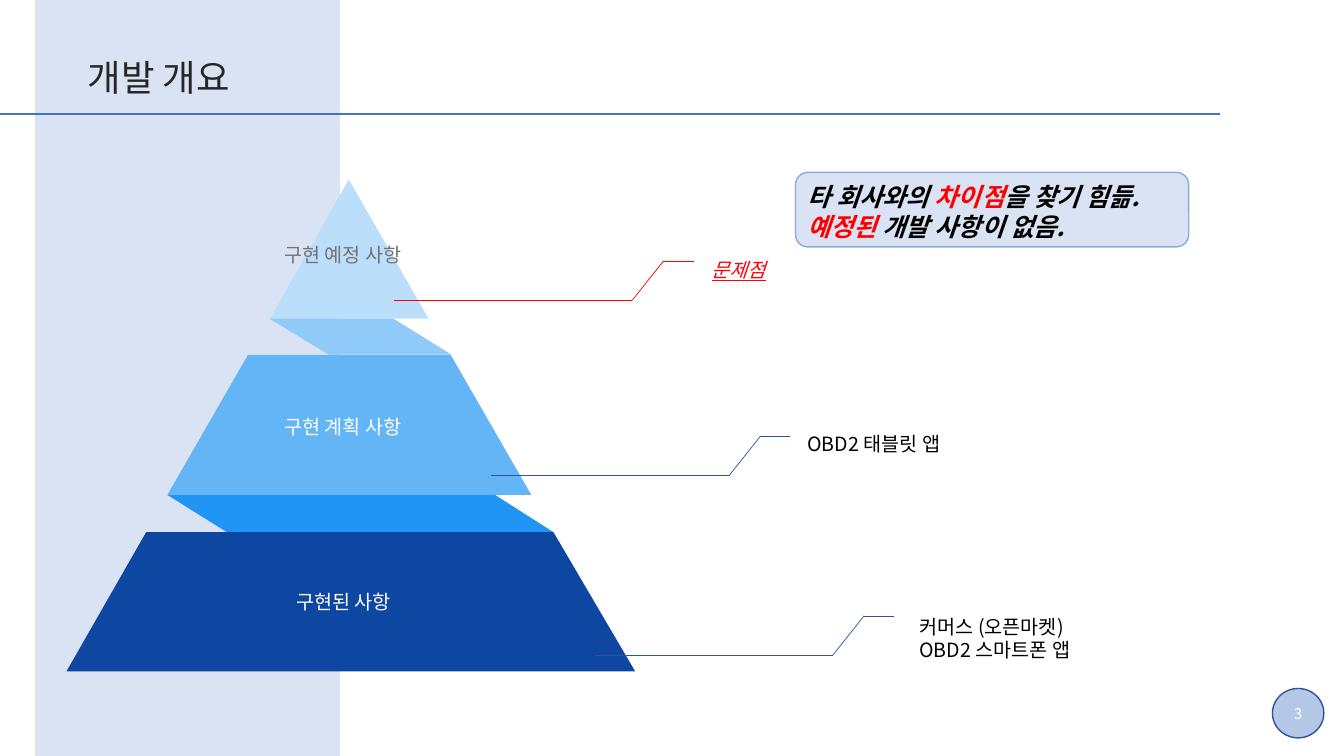
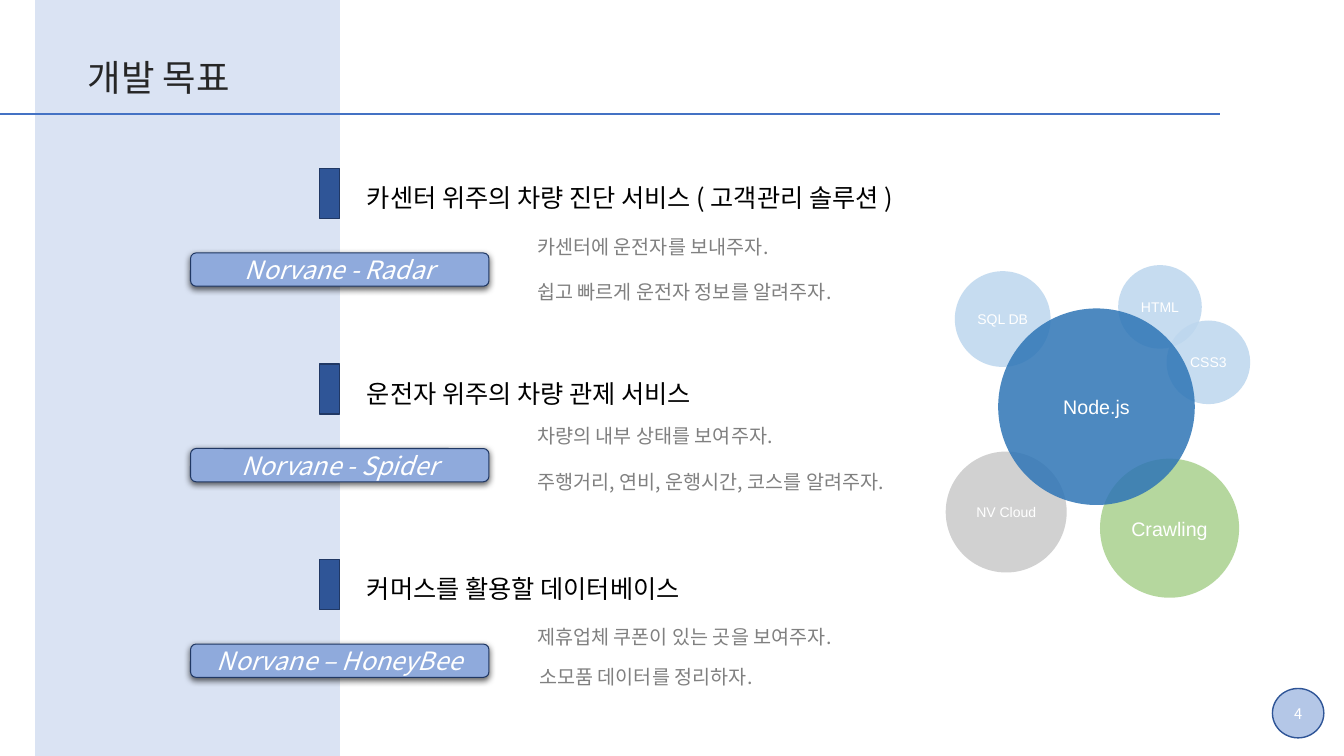
from dataclasses import dataclass
from itertools import pairwise

from lxml.etree import SubElement
from pptx import Presentation
from pptx.dml.color import RGBColor
from pptx.enum.shapes import MSO_CONNECTOR, MSO_SHAPE
from pptx.enum.text import MSO_ANCHOR, MSO_AUTO_SIZE, PP_ALIGN
from pptx.oxml.ns import qn
from pptx.util import Inches, Pt

COLORS = {
    "pale": "DAE3F3", "soft": "B4C7E7", "mid": "8FAADC", "rule": "4472C4",
    "deep": "2F5597", "navy": "203864", "title": "262626", "black": "000000",
    "white": "FFFFFF", "red": "FF0000", "gray": "808080", "stone": "767171",
    "base": "0D47A1", "base_fold": "2195F3", "middle": "64B5F6",
    "top_fold": "90CAF9", "top": "BBDEFB",
    "sky": "BDD7EE", "green": "A9D18E", "silver": "C9C9C9", "core": "2E75B6",
}
KOREAN = "Noto Sans CJK KR"
FORMATS = {
    "title": {"name": KOREAN, "size": Pt(26)},
    "page": {"name": KOREAN, "size": Pt(10.5)},
    "body": {"name": KOREAN, "size": Pt(14)},
    "heading": {"name": KOREAN, "size": Pt(18)},
    "pill": {"name": KOREAN, "size": Pt(18), "italic": True},
    "notice": {"name": KOREAN, "size": Pt(18), "bold": True, "italic": True},
    "issue": {"name": KOREAN, "size": Pt(14), "italic": True, "underline": True},
    "small_tech": {"name": "Arial", "size": Pt(10)},
    "large_tech": {"name": "Arial", "size": Pt(14)},
}


@dataclass(frozen=True)
class Run:
    text: str
    color: str = "black"


@dataclass(frozen=True)
class Panel:
    color: str
    points: tuple[tuple[float, float], ...]


@dataclass(frozen=True)
class Label:
    left: float
    top: float
    width: float
    height: float
    lines: tuple[tuple[Run, ...], ...]
    style: str = "body"


@dataclass(frozen=True)
class Callout:
    left: float
    top: float
    color: str


@dataclass(frozen=True)
class Detail:
    text: str
    top: float
    width: float
    left: float = 5.23


@dataclass(frozen=True)
class Goal:
    heading: str
    width: float
    project: str
    details: tuple[Detail, ...]


@dataclass(frozen=True)
class Bubble:
    text: str
    left: float
    top: float
    diameter: float
    color: str
    style: str = "small_tech"


# Shared drawing functions
def rgb(color: str) -> RGBColor:
    return RGBColor.from_string(COLORS[color])


def write(frame, lines, style: str, align=PP_ALIGN.LEFT) -> None:
    for index, line in enumerate(lines):
        paragraph = frame.add_paragraph() if index else frame.paragraphs[0]
        paragraph.alignment = align
        for part in line:
            run = paragraph.add_run()
            run.text = part.text
            for attribute, value in FORMATS[style].items():
                setattr(run.font, attribute, value)
            run.font.color.rgb = rgb(part.color)
            east_asian = SubElement(run.font._element, qn("a:ea"))
            east_asian.set("typeface", FORMATS[style]["name"])


def add_label(slide, label: Label) -> None:
    box = slide.shapes.add_textbox(Inches(label.left), Inches(label.top),
                                   Inches(label.width), Inches(label.height))
    box.text_frame.word_wrap = False
    box.text_frame.auto_size = MSO_AUTO_SIZE.SHAPE_TO_FIT_TEXT
    write(box.text_frame, label.lines, label.style)


def paint(shape, fill: str, line: str | None = None, weight: float = 1) -> None:
    shape.shadow.inherit = False
    shape.fill.solid()
    shape.fill.fore_color.rgb = rgb(fill)
    if line:
        shape.line.color.rgb = rgb(line)
        shape.line.width = Pt(weight)
    else:
        shape.line.fill.background()


def add_block(slide, kind, left: float, top: float, width: float, height: float,
              fill: str, line: str | None = None, weight: float = 1,
              text: str = "", style: str = "body"):
    shape = slide.shapes.add_shape(kind, Inches(left), Inches(top),
                                   Inches(width), Inches(height))
    paint(shape, fill, line, weight)
    if text:
        frame = shape.text_frame
        frame.margin_left = frame.margin_right = Inches(0)
        frame.margin_top = frame.margin_bottom = Inches(0)
        frame.vertical_anchor = MSO_ANCHOR.MIDDLE
        frame.word_wrap = True
        write(frame, [[Run(text, "white")]], style, PP_ALIGN.CENTER)
    return shape


def add_line(slide, start, end, color: str, weight: float) -> None:
    line = slide.shapes.add_connector(
        MSO_CONNECTOR.STRAIGHT, *(Inches(value) for value in (*start, *end)))
    line.line.color.rgb = rgb(color)
    line.line.width = Pt(weight)
    SubElement(line._element.spPr, qn("a:effectLst"))


def add_base(deck, title: str, page: int):
    slide = deck.slides.add_slide(deck.slide_layouts[6])
    add_block(slide, MSO_SHAPE.RECTANGLE, 0.35, 0, 3.02, 7.5, "pale", "pale")
    add_label(slide, Label(0.77, 0.5, 1.79, 0.54, ((Run(title, "title"),),), "title"))
    add_line(slide, (0, 1.13), (12.1, 1.13), "rule", 1)
    add_block(slide, MSO_SHAPE.OVAL, 12.62, 6.83, 0.51, 0.49, "soft", "deep",
              text=str(page), style="page")
    return slide


# Overview: pyramid, callouts and notice
PANELS = (
    Panel("base_fold", ((5.49, 5.28), (2.25, 5.28), (1.66, 4.91), (4.91, 4.91))),
    Panel("top_fold", ((4.48, 3.52), (3.26, 3.52), (2.67, 3.16), (3.9, 3.16))),
    Panel("base", ((5.49, 5.28), (6.3, 6.66), (0.66, 6.66), (1.45, 5.28))),
    Panel("middle", ((2.46, 3.52), (4.47, 3.52), (5.27, 4.91), (1.66, 4.91))),
    Panel("top", ((2.68, 3.16), (3.46, 1.78), (4.25, 3.16))),
)
CALLOUTS = (Callout(3.91, 2.98, "red"), Callout(4.87, 4.72, "deep"),
            Callout(5.9, 6.5, "deep"))
OVERVIEW_LABELS = (
    Label(2.84, 5.8, 1.25, 0.34, ((Run("구현된 사항", "white"),),)),
    Label(2.72, 4.07, 1.52, 0.34, ((Run("구현 계획 사항", "white"),),)),
    Label(2.72, 2.36, 1.52, 0.34, ((Run("구현 예정 사항", "stone"),),)),
    Label(9.02, 6.05, 2.03, 0.57,
          ((Run("커머스 (오픈마켓)"),), (Run("OBD2 스마트폰 앱"),))),
    Label(7.91, 4.24, 1.64, 0.34, ((Run("OBD2 태블릿 앱"),),)),
    Label(6.96, 2.51, 0.79, 0.34, ((Run("문제점", "red"),),), "issue"),
    Label(7.91, 1.75, 3.9, 0.71,
          ((Run("타 회사와의 "), Run("차이점", "red"), Run("을 찾기 힘듦.")),
           (Run("예정된", "red"), Run(" 개발 사항이 없음."))), "notice"),
)


def add_panel(slide, panel: Panel) -> None:
    start, *rest = [(Inches(x), Inches(y)) for x, y in panel.points]
    builder = slide.shapes.build_freeform(*start)
    builder.add_line_segments(rest, close=True)
    paint(builder.convert_to_shape(), panel.color)


def add_callout(slide, callout: Callout) -> None:
    steps = ((0, 0), (2.36, 0), (2.67, -0.39), (2.97, -0.39))
    points = [(callout.left + x, callout.top + y) for x, y in steps]
    for start, end in pairwise(points):
        add_line(slide, start, end, callout.color, 0.5)


def build_overview(deck) -> None:
    slide = add_base(deck, "개발 개요", 3)
    add_block(slide, MSO_SHAPE.ROUNDED_RECTANGLE, 7.89, 1.71, 3.9, 0.74, "pale", "mid")
    for panel in PANELS:
        add_panel(slide, panel)
    for callout in CALLOUTS:
        add_callout(slide, callout)
    for label in OVERVIEW_LABELS:
        add_label(slide, label)


# Goals: three services and the technology bubbles
GOAL_TOP, GOAL_STEP = 1.67, 1.94
GOALS = (
    Goal("카센터 위주의 차량 진단 서비스 ( 고객관리 솔루션 )", 6.12, "Norvane - Radar",
         (Detail("카센터에 운전자를 보내주자.", 2.28, 2.74),
          Detail("쉽고 빠르게 운전자 정보를 알려주자.", 2.73, 3.46))),
    Goal("운전자 위주의 차량 관제 서비스", 3.84, "Norvane - Spider",
         (Detail("차량의 내부 상태를 보여주자.", 4.16, 2.81),
          Detail("주행거리, 연비, 운행시간, 코스를 알려주자.", 4.61, 4.06))),
    Goal("커머스를 활용할 데이터베이스", 3.66, "Norvane – HoneyBee",
         (Detail("제휴업체 쿠폰이 있는 곳을 보여주자.", 6.15, 3.46),
          Detail("소모품 데이터를 정리하자.", 6.55, 2.59, 5.25))),
)
BUBBLES = (
    Bubble("SQL DB", 9.47, 2.69, 0.95, "sky"),
    Bubble("HTML", 11.09, 2.63, 0.83, "sky"),
    Bubble("CSS3", 11.57, 3.18, 0.83, "sky"),
    Bubble("Crawling", 10.91, 4.55, 1.38, "green", "large_tech"),
    Bubble("NV Cloud", 9.38, 4.48, 1.2, "silver"),
    Bubble("Node.js", 9.9, 3.06, 1.95, "core", "large_tech"),
)


def add_alpha(color_element, percent: int) -> None:
    SubElement(color_element, qn("a:alpha")).set("val", str(percent * 1000))


def add_drop_shadow(shape) -> None:
    effects = shape._element.spPr.find(qn("a:effectLst"))
    shadow = SubElement(effects, qn("a:outerShdw"), blurRad=str(Pt(4.5)),
                        dist=str(Pt(1.5)), dir=str(90 * 60000), rotWithShape="0")
    add_alpha(SubElement(shadow, qn("a:srgbClr"), val=COLORS["black"]), 63)


def add_goal(slide, goal: Goal, top: float) -> None:
    add_block(slide, MSO_SHAPE.RECTANGLE, 3.17, top, 0.2, 0.5, "deep", "navy")
    add_label(slide, Label(3.54, top + 0.09, goal.width, 0.4,
                           ((Run(goal.heading),),), "heading"))
    for detail in goal.details:
        add_label(slide, Label(detail.left, detail.top, detail.width, 0.34,
                               ((Run(detail.text, "gray"),),)))
    project = add_block(slide, MSO_SHAPE.ROUNDED_RECTANGLE, 1.89, top + 0.84, 2.96,
                        0.33, "mid", "navy", 0.75, goal.project, "pill")
    add_drop_shadow(project)


def add_bubble(slide, bubble: Bubble) -> None:
    circle = add_block(slide, MSO_SHAPE.OVAL, bubble.left, bubble.top,
                       bubble.diameter, bubble.diameter, bubble.color,
                       text=bubble.text, style=bubble.style)
    add_alpha(circle._element.spPr.find(qn("a:solidFill"))[0], 85)


def build_goals(deck) -> None:
    slide = add_base(deck, "개발 목표", 4)
    for index, goal in enumerate(GOALS):
        add_goal(slide, goal, GOAL_TOP + index * GOAL_STEP)
    for bubble in BUBBLES:
        add_bubble(slide, bubble)


def main() -> None:
    deck = Presentation()
    deck.slide_width, deck.slide_height = Inches(13.33), Inches(7.5)
    build_overview(deck)
    build_goals(deck)
    deck.save("out.pptx")


if __name__ == "__main__":
    main()
